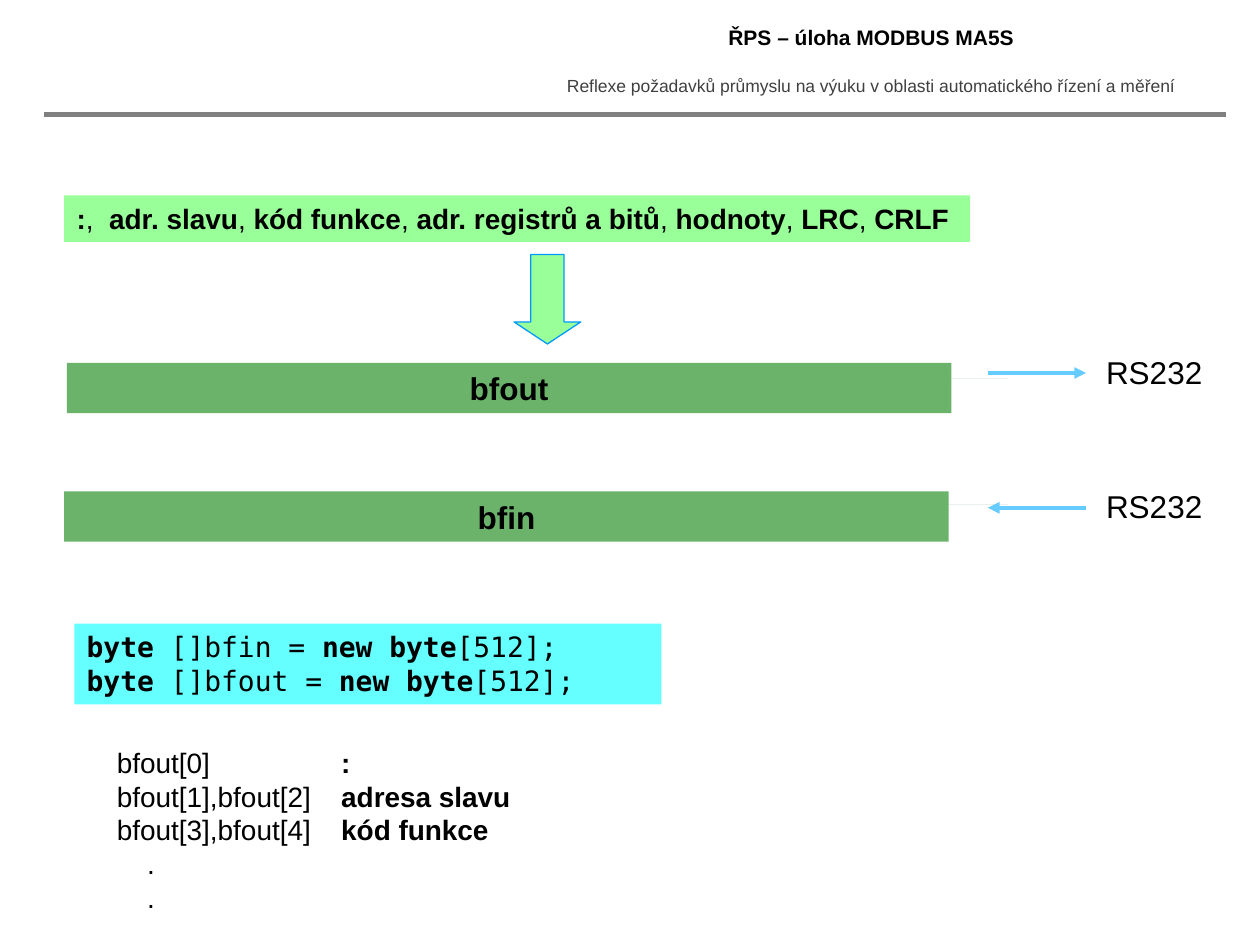
"""Build the slide on MODBUS send and receive buffers."""
from dataclasses import dataclass

from lxml import etree
from pptx import Presentation
from pptx.dml.color import RGBColor
from pptx.enum.shapes import MSO_CONNECTOR, MSO_SHAPE
from pptx.enum.text import MSO_ANCHOR, PP_ALIGN
from pptx.oxml.ns import qn
from pptx.util import Inches, Pt

COLORS = {
    "text": "000000", "subtitle": "404040", "rule": "808080",
    "frame": "99FF99", "arrow_line": "0099FF", "serial": "66CCFF",
    "code": "66FFFF", "front": "6BB36B", "top": "5A955A", "side": "88DF88",
}
SANS, MONO = "Arial", "DejaVu Sans Mono"
BAR_WIDTH, BAR_HEIGHT, BAR_DEPTH = 7.02, 0.4, 0.17
SERIAL_LEFT, SERIAL_RIGHT = 7.84, 8.62


@dataclass
class Style:
    size: float
    font: str = SANS
    color: str = "text"
    align: PP_ALIGN = PP_ALIGN.LEFT
    anchor: MSO_ANCHOR = MSO_ANCHOR.TOP


@dataclass
class Buffer:
    name: str
    left: float
    top: float
    serial_y: float
    outgoing: bool


BUFFERS = [
    Buffer("bfout", 0.53, 2.88, 2.96, True),
    Buffer("bfin", 0.51, 3.9, 4.03, False),
]
FRAME_FIELDS = ["adr. slavu", "kód funkce", "adr. registrů a bitů",
                "hodnoty", "LRC", "CRLF"]
BYTE_ROWS = [("bfout[0]", ":"), ("bfout[1],bfout[2]", "adresa slavu"),
             ("bfout[3],bfout[4]", "kód funkce")]


def rgb(name: str) -> RGBColor:
    return RGBColor.from_string(COLORS[name])


def write(shape, lines: list, style: Style) -> None:
    """Write lines of (text, bold) runs into a shape."""
    frame = shape.text_frame
    frame.word_wrap = True
    frame.vertical_anchor = style.anchor
    for index, runs in enumerate(lines):
        paragraph = frame.paragraphs[0] if index == 0 else frame.add_paragraph()
        paragraph.alignment = style.align
        for text, bold in runs:
            run = paragraph.add_run()
            run.text = text
            run.font.size = Pt(style.size)
            run.font.name = style.font
            run.font.bold = bold
            run.font.color.rgb = rgb(style.color)


def add_text(shapes, box: tuple, lines: list, style: Style):
    shape = shapes.add_textbox(*map(Inches, box))
    write(shape, lines, style)
    return shape


def paint(shape, fill: str) -> None:
    shape.shadow.inherit = False
    shape.fill.solid()
    shape.fill.fore_color.rgb = rgb(fill)
    shape.line.fill.background()


def add_shape(shapes, kind: MSO_SHAPE, box: tuple, fill: str):
    shape = shapes.add_shape(kind, *map(Inches, box))
    paint(shape, fill)
    return shape


def add_face(shapes, points: list, fill: str) -> None:
    builder = shapes.build_freeform(*points[0], scale=float(Inches(1)))
    builder.add_line_segments(points[1:], close=True)
    paint(builder.convert_to_shape(), fill)


def add_line(shapes, start: tuple, end: tuple, color: str, width: float,
             arrow: bool = False) -> None:
    line = shapes.add_connector(MSO_CONNECTOR.STRAIGHT,
                                *map(Inches, start + end))
    line.line.color.rgb = rgb(color)
    line.line.width = Pt(width)
    if arrow:
        etree.SubElement(line.line._get_or_add_ln(), qn("a:tailEnd"), type="triangle")
    etree.SubElement(line._element.spPr, qn("a:effectLst"))


def add_buffer(shapes, buffer: Buffer) -> None:
    """Draw a solid bar with its serial arrow and label."""
    left, top = buffer.left, buffer.top
    right, bottom = left + BAR_WIDTH, top + BAR_HEIGHT
    back_right, back_top = right + BAR_DEPTH, top - BAR_DEPTH
    add_face(shapes, [(left, top), (left + BAR_DEPTH, back_top),
                      (back_right, back_top), (right, top)], "top")
    add_face(shapes, [(right, top), (back_right, back_top),
                      (back_right, bottom - BAR_DEPTH), (right, bottom)], "side")
    front = add_shape(shapes, MSO_SHAPE.RECTANGLE,
                      (left, top, BAR_WIDTH, BAR_HEIGHT), "front")
    write(front, [[(buffer.name, True)]],
          Style(18, align=PP_ALIGN.CENTER, anchor=MSO_ANCHOR.MIDDLE))
    ends = [(SERIAL_LEFT, buffer.serial_y), (SERIAL_RIGHT, buffer.serial_y)]
    start, end = ends if buffer.outgoing else reversed(ends)
    add_line(shapes, start, end, "serial", 2.25, arrow=True)
    add_text(shapes, (8.68, buffer.serial_y - 0.21, 1.1, 0.4),
             [[("RS232", False)]], Style(18))


def add_byte_list(shapes) -> None:
    rows = [[(place + "\t", False), (meaning, True)] for place, meaning in BYTE_ROWS]
    dots = [[(".", False)]] * 2
    box = add_text(shapes, (0.83, 5.87, 3.8, 1.44), rows + dots, Style(16))
    for index, paragraph in enumerate(box.text_frame.paragraphs):
        properties = paragraph._p.get_or_add_pPr()
        if index < len(rows):
            tabs = etree.SubElement(properties, qn("a:tabLst"))
            etree.SubElement(tabs, qn("a:tab"), pos=str(Inches(1.78)), algn="l")
        else:
            properties.set("marL", str(Inches(0.24)))


def main() -> None:
    deck = Presentation()
    deck.slide_width, deck.slide_height = Inches(10), Inches(7.5)
    slide = deck.slides.add_slide(deck.slide_layouts[5])
    shapes = slide.shapes
    title = shapes.title
    title.left, title.top, title.width, title.height = map(
        Inches, (4.3, 0.14, 5.23, 0.31))
    write(title, [[("ŘPS – úloha MODBUS MA5S", True)]],
          Style(12, align=PP_ALIGN.CENTER, anchor=MSO_ANCHOR.MIDDLE))
    add_text(shapes, (4.3, 0.55, 5.22, 0.27),
             [[("Reflexe požadavků průmyslu na výuku v oblasti "
                "automatického řízení a měření", False)]],
             Style(10, color="subtitle", align=PP_ALIGN.CENTER))
    add_line(shapes, (0.35, 0.91), (9.73, 0.91), "rule", 3)

    frame_runs = [(":", True), (",  ", False)]
    for field in FRAME_FIELDS:
        frame_runs += [(field, True), (", ", False)]
    frame = add_shape(shapes, MSO_SHAPE.RECTANGLE, (0.51, 1.55, 7.19, 0.37), "frame")
    write(frame, [frame_runs[:-1]], Style(16))
    arrow = add_shape(shapes, MSO_SHAPE.DOWN_ARROW, (4.08, 2.02, 0.53, 0.71), "frame")
    arrow.adjustments[1] = 0.33
    arrow.line.color.rgb = rgb("arrow_line")
    arrow.line.width = Pt(0.75)

    for buffer in BUFFERS:
        add_buffer(shapes, buffer)

    code = add_shape(shapes, MSO_SHAPE.RECTANGLE, (0.59, 4.95, 4.66, 0.64), "code")
    write(code, [[("byte", True), (f" []{name} = ", False),
                  ("new byte", True), ("[512];", False)]
                 for name in ("bfin", "bfout")], Style(16, font=MONO))
    add_byte_list(shapes)
    deck.save("out.pptx")


main()
